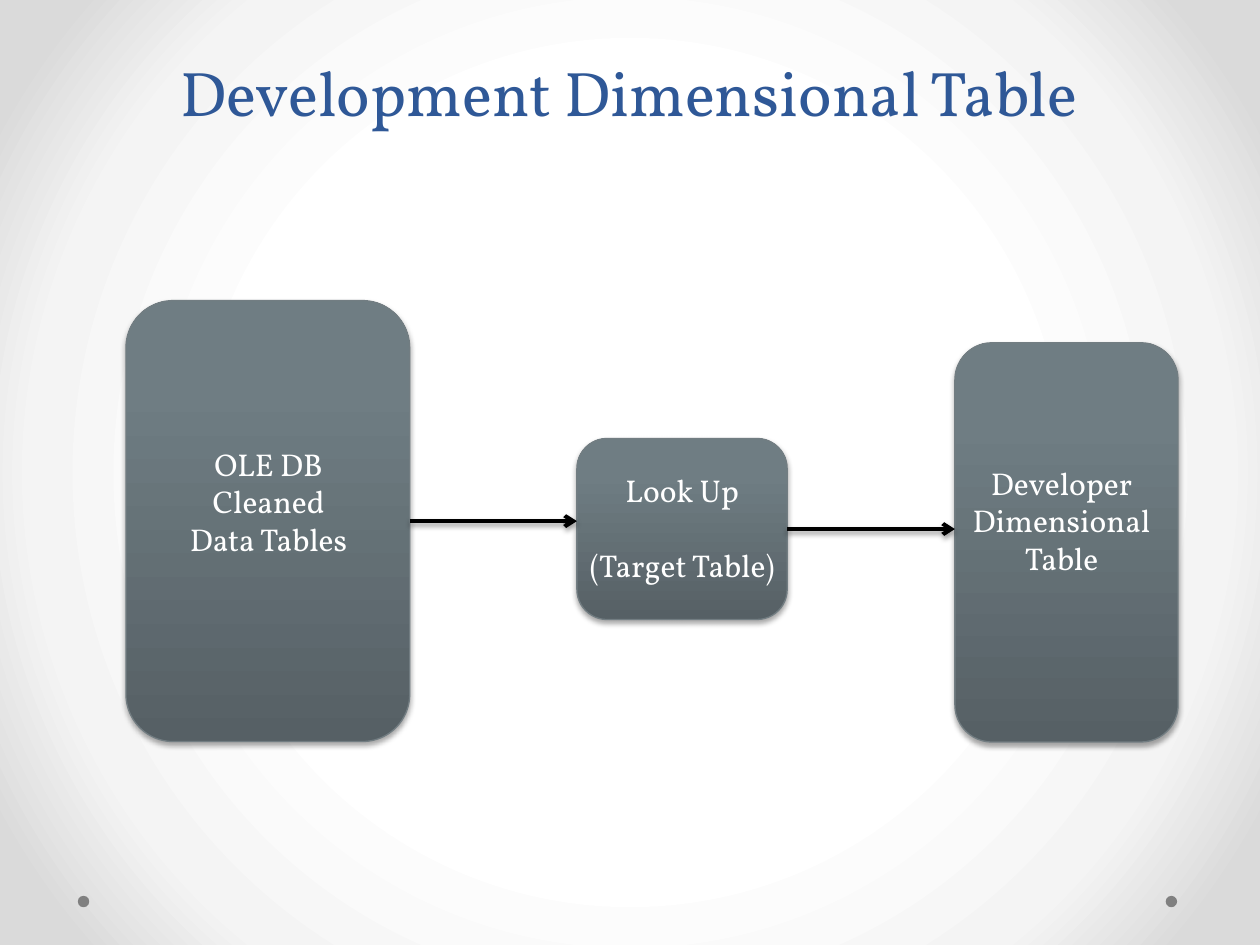
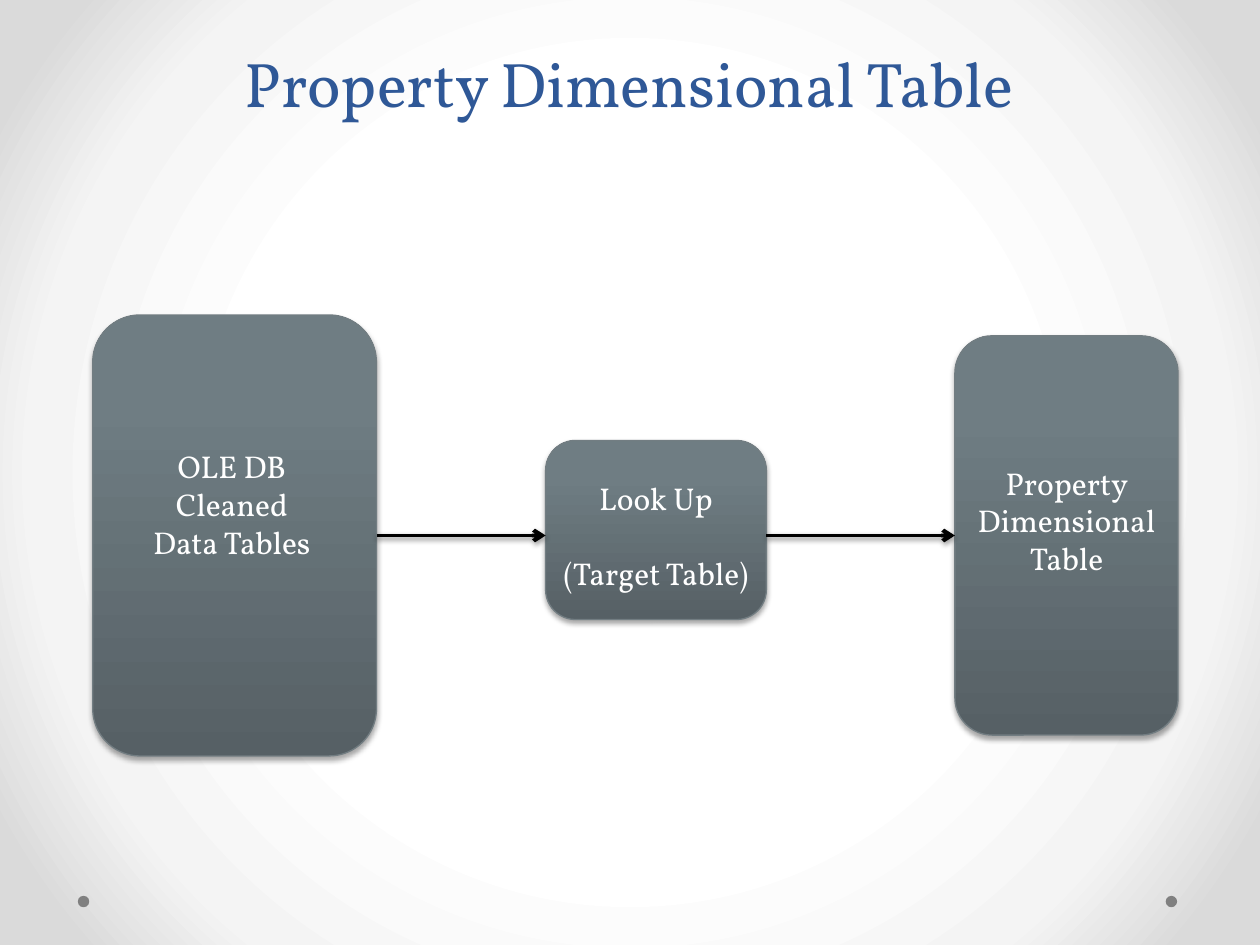
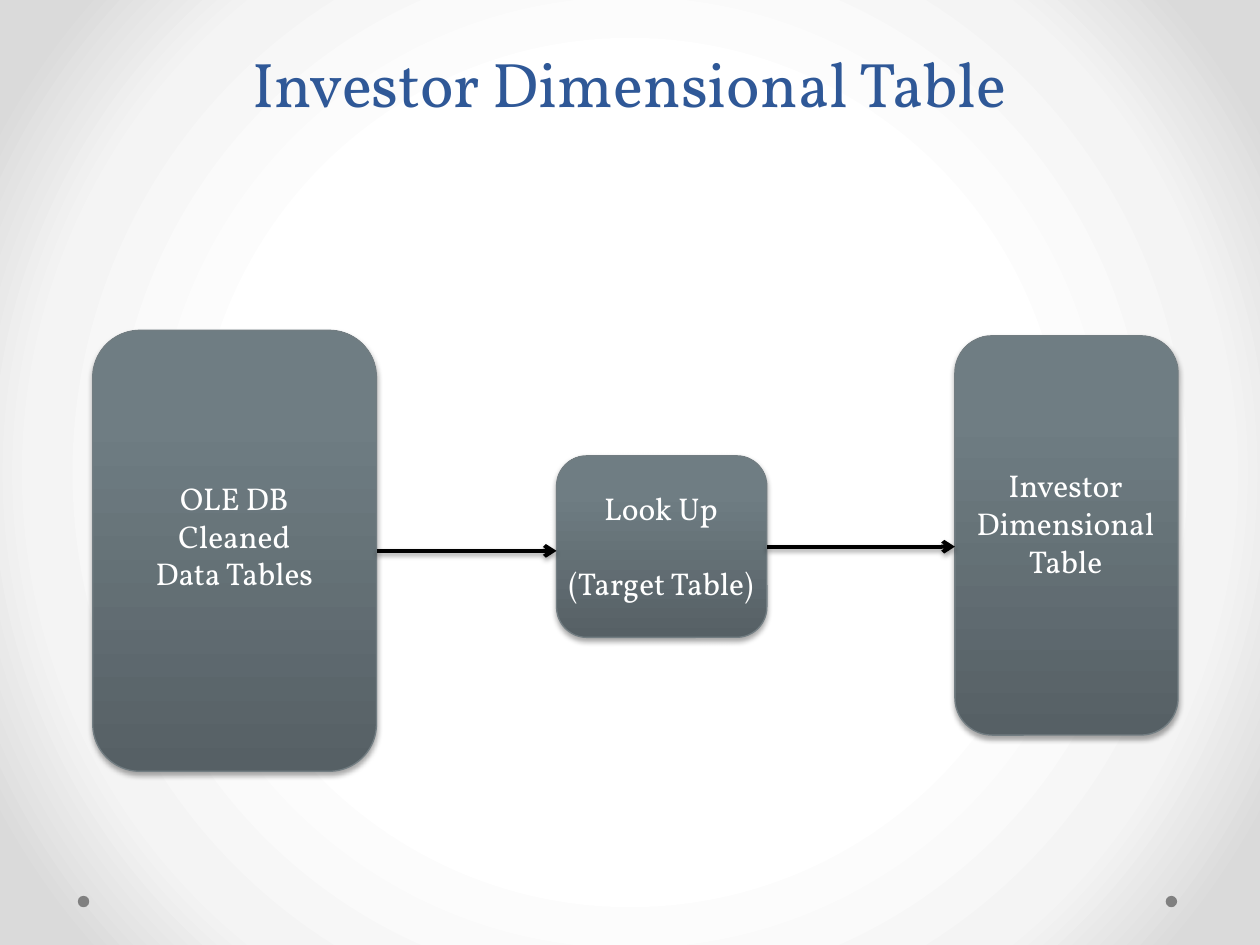
import dataclasses
import typing

import lxml.etree
import pptx
import pptx.dml.color
import pptx.enum.shapes
import pptx.enum.text
import pptx.oxml.ns
import pptx.util

Cm = pptx.util.Cm
Pt = pptx.util.Pt
RGBColor = pptx.dml.color.RGBColor
Shapes = pptx.enum.shapes.MSO_SHAPE
qn = pptx.oxml.ns.qn

FONT = "Vollkorn"
TITLE_BLUE = RGBColor(0x2F, 0x58, 0x97)
WHITE = RGBColor(0xFF, 0xFF, 0xFF)
BLACK = RGBColor(0x00, 0x00, 0x00)
DOT_GRAY = RGBColor(0x80, 0x80, 0x80)
BOX_EDGE = RGBColor(0x72, 0x7D, 0x82)
BOX_STOPS = [
    (0, RGBColor(0x56, 0x60, 0x65)),
    (80, RGBColor(0x6F, 0x7D, 0x83)),
    (100, RGBColor(0x6F, 0x7E, 0x84)),
]
PAGE_STOPS = [
    (50, WHITE),
    (76, RGBColor(0xF4, 0xF4, 0xF4)),
    (92, RGBColor(0xDA, 0xDA, 0xDA)),
]

TITLE_LEFT, TITLE_TOP, TITLE_WIDTH = 1.25, 0.84, 22.86
DOT_LEFTS, DOT_TOP, DOT_SIZE = (23.5, 1.57), 18.06, 0.23
SOURCE_SIZE = (5.72, 8.89)
TARGET_SIZE = (4.5, 8.05)
TARGET_LEFT = 19.25
LABEL_HEIGHT = 2.57
LABEL_LINE = Pt(21.5)


@dataclasses.dataclass(frozen=True)
class Stage:
    box: tuple[float, float, float, float]
    label: tuple[float, float, float]
    lines: tuple[str, ...]


@dataclasses.dataclass(frozen=True)
class Flow:
    title: str
    title_height: float
    source: Stage
    lookup: Stage
    target: Stage
    level_with_target: bool = False


def source_stage(left: float, top: float, label_left: float, label_top: float) -> Stage:
    return Stage((left, top, *SOURCE_SIZE), (label_left, label_top, 3.81),
                 ("OLE DB Cleaned Data Tables",))


def lookup_stage(box: tuple[float, float, float, float],
                 label: tuple[float, float, float]) -> Stage:
    return Stage(box, label, ("Look Up", "(Target Table)"))


def target_stage(top: float, label_left: float, label_top: float, subject: str) -> Stage:
    return Stage((TARGET_LEFT, top, *TARGET_SIZE), (label_left, label_top, TARGET_SIZE[0]),
                 (f"{subject} Dimensional Table",))


FLOWS = [
    Flow("Development Dimensional Table", 1.9,
         source_stage(2.54, 6.06, 3.51, 8.84),
         lookup_stage((11.63, 8.84, 4.24, 3.65), (11.53, 9.37, 4.45)),
         target_stage(6.91, 19.15, 9.22, "Developer")),
    Flow("Property Dimensional Table", 1.7,
         source_stage(1.87, 6.35, 2.77, 8.89),
         lookup_stage((11, 8.88, 4.45, 3.61), (11, 9.53, 4.45)),
         target_stage(6.77, 19.25, 9.22, "Property"),
         level_with_target=True),
    Flow("Investor Dimensional Table", 1.7,
         source_stage(1.87, 6.66, 2.82, 9.53),
         lookup_stage((11.22, 9.19, 4.24, 3.66), (11, 9.73, 4.65)),
         target_stage(6.77, 19.23, 9.27, "Investor")),
]


def add_color(parent: typing.Any, color: RGBColor) -> typing.Any:
    return lxml.etree.SubElement(parent, qn("a:srgbClr"), val=str(color))


def fill_gradient(gradient: typing.Any, stops: list, angle: int | None = None) -> None:
    for child in list(gradient):
        gradient.remove(child)
    stop_list = lxml.etree.SubElement(gradient, qn("a:gsLst"))
    for position, color in stops:
        stop = lxml.etree.SubElement(stop_list, qn("a:gs"), pos=str(position * 1000))
        add_color(stop, color)
    if angle is None:
        circle = lxml.etree.SubElement(gradient, qn("a:path"), attrib={"path": "circle"})
        lxml.etree.SubElement(circle, qn("a:fillToRect"),
                              attrib={side: "50000" for side in "ltrb"})
    else:
        lxml.etree.SubElement(gradient, qn("a:lin"), ang=str(angle * 60000), scaled="0")


def add_shadow(shape: typing.Any, opacity: int, distance: float) -> None:
    effects = lxml.etree.SubElement(shape.element.spPr, qn("a:effectLst"))
    shadow = lxml.etree.SubElement(
        effects, qn("a:outerShdw"), blurRad=str(Pt(3.1)), dist=str(Pt(distance)),
        dir=str(90 * 60000), rotWithShape="0")
    color = add_color(shadow, BLACK)
    lxml.etree.SubElement(color, qn("a:alpha"), val=str(opacity * 1000))


def format_paragraph(para: typing.Any, size: float, color: RGBColor) -> None:
    para.alignment = pptx.enum.text.PP_ALIGN.CENTER
    for span in para.runs:
        span.font.name = FONT
        span.font.size = Pt(size)
        span.font.color.rgb = color


def add_label(page: typing.Any, stage: Stage) -> None:
    left, top, width = stage.label
    label = page.shapes.add_textbox(Cm(left), Cm(top), Cm(width), Cm(LABEL_HEIGHT))
    frame = label.text_frame
    frame.word_wrap = True
    frame.auto_size = pptx.enum.text.MSO_AUTO_SIZE.SHAPE_TO_FIT_TEXT
    frame.text = "\n".join(stage.lines)
    for index, para in enumerate(frame.paragraphs):
        format_paragraph(para, 18, WHITE)
        if index:
            para.space_before = LABEL_LINE


def add_stage(page: typing.Any, stage: Stage) -> typing.Any:
    box = page.shapes.add_shape(Shapes.ROUNDED_RECTANGLE, *map(Cm, stage.box))
    box.fill.gradient()
    fill_gradient(box.element.spPr.find(qn("a:gradFill")), BOX_STOPS, 270)
    box.line.color.rgb = BOX_EDGE
    box.line.width = Pt(0.75)
    add_shadow(box, 35, 1.8)
    add_label(page, stage)
    return box


def add_arrow(page: typing.Any, start: typing.Any, end: typing.Any,
              level_box: typing.Any) -> None:
    level = level_box.top + level_box.height // 2
    arrow = page.shapes.add_connector(
        pptx.enum.shapes.MSO_CONNECTOR.STRAIGHT,
        start.left + start.width, level, end.left, level)
    if level_box is start:
        arrow.begin_connect(start, 3)
    else:
        arrow.end_connect(end, 1)
    arrow.line.color.rgb = BLACK
    arrow.line.width = Pt(2.25)
    lxml.etree.SubElement(arrow.element.spPr.find(qn("a:ln")), qn("a:tailEnd"), type="arrow")
    add_shadow(arrow, 38, 1.6)


def add_title(page: typing.Any, text: str, height: float) -> None:
    title = page.shapes.title
    title.left, title.top = Cm(TITLE_LEFT), Cm(TITLE_TOP)
    title.width, title.height = Cm(TITLE_WIDTH), Cm(height)
    frame = title.text_frame
    frame.text = text
    frame.word_wrap = True
    frame.auto_size = pptx.enum.text.MSO_AUTO_SIZE.NONE
    frame.vertical_anchor = pptx.enum.text.MSO_ANCHOR.BOTTOM
    para = frame.paragraphs[0]
    para.line_spacing = Pt(58)
    format_paragraph(para, 36, TITLE_BLUE)


def add_layout_dots(page: typing.Any) -> None:
    for left in DOT_LEFTS:
        dot = page.shapes.add_shape(
            Shapes.OVAL, Cm(left), Cm(DOT_TOP), Cm(DOT_SIZE), Cm(DOT_SIZE))
        dot.fill.solid()
        dot.fill.fore_color.rgb = DOT_GRAY
        dot.line.fill.background()
        dot.shadow.inherit = False
        page.slide_layout.shapes.element.append(dot.element)


def add_flow(page: typing.Any, flow: Flow) -> None:
    add_title(page, flow.title, flow.title_height)
    source = add_stage(page, flow.source)
    target = add_stage(page, flow.target)
    lookup = add_stage(page, flow.lookup)
    add_arrow(page, source, lookup, source)
    add_arrow(page, lookup, target, target if flow.level_with_target else lookup)


def main() -> None:
    deck = pptx.Presentation()
    deck.slide_width, deck.slide_height = Cm(25.4), Cm(19.05)
    master = deck.slide_master
    master.background.fill.gradient()
    fill_gradient(next(master.element.iter(qn("a:gradFill"))), PAGE_STOPS)
    layout = deck.slide_layouts.get_by_name("Title Only")
    pages = [deck.slides.add_slide(layout) for _ in FLOWS]
    add_layout_dots(pages[0])
    for page, flow in zip(pages, FLOWS):
        add_flow(page, flow)
    deck.save("out.pptx")


if __name__ == "__main__":
    main()
